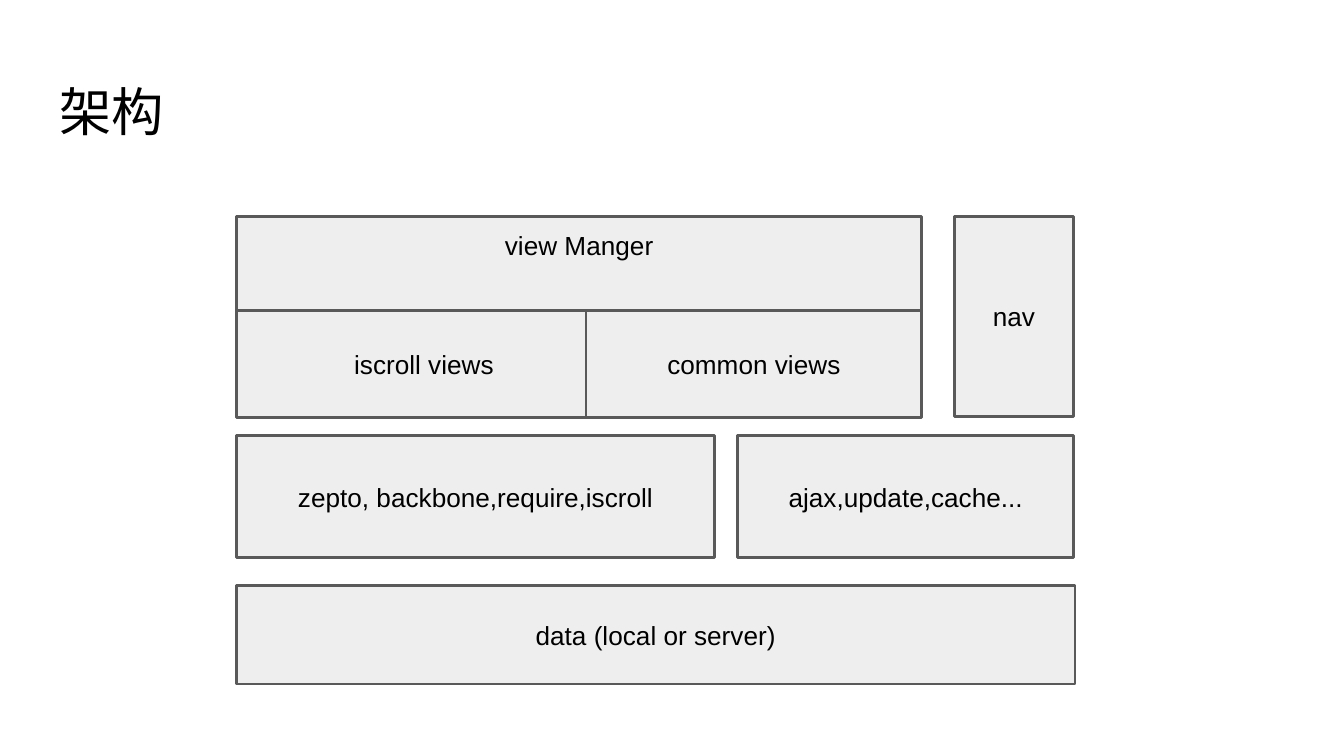
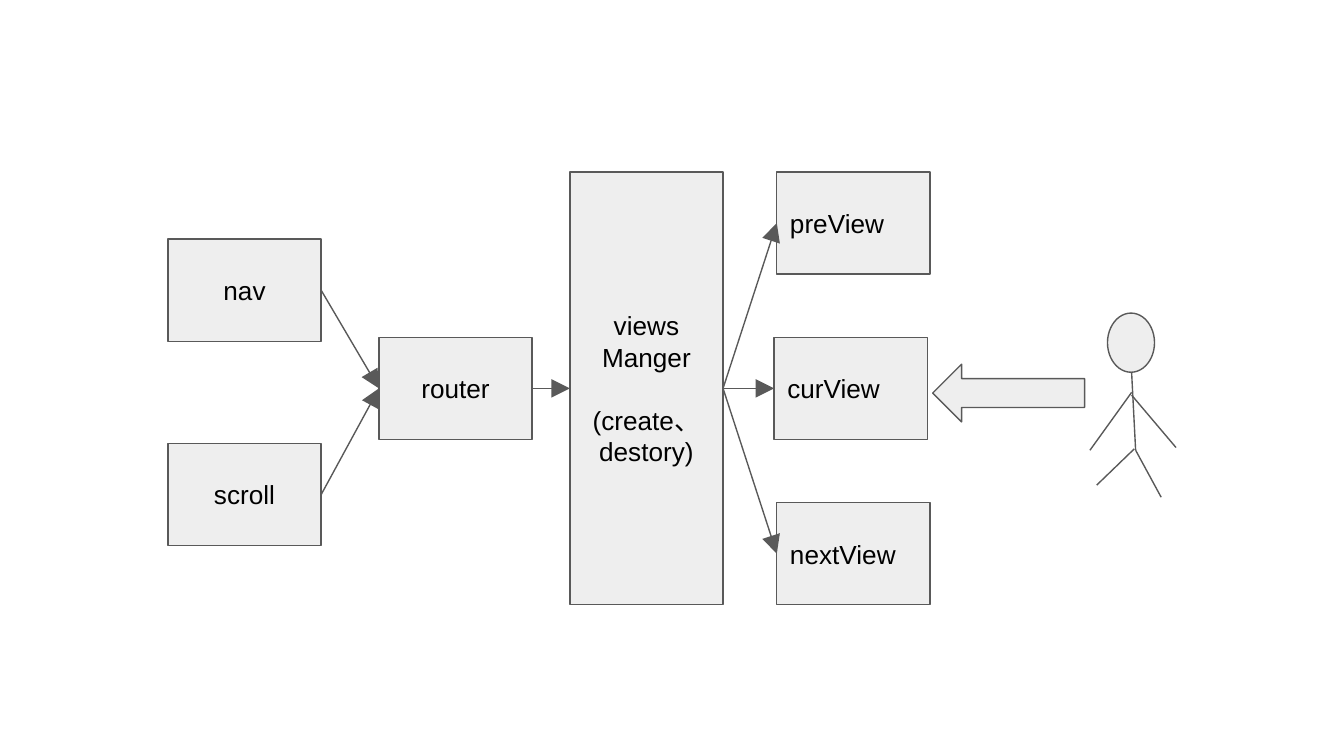
from lxml.etree import SubElement
from pptx import Presentation
from pptx.dml.color import RGBColor
from pptx.enum.shapes import MSO_CONNECTOR, MSO_SHAPE
from pptx.enum.text import MSO_ANCHOR, MSO_AUTO_SIZE, PP_ALIGN
from pptx.oxml.ns import qn
from pptx.util import Inches, Pt

SLIDE_W = 10
SLIDE_H = SLIDE_W * 9 / 16
FONT = "Arial"
BLACK = RGBColor(0x00, 0x00, 0x00)
LIGHT = RGBColor(0xEE, 0xEE, 0xEE)
GREY = RGBColor(0x59, 0x59, 0x59)
THIN, THICK = 0.75, 1.5
INSET = 0.1
TOP, MIDDLE = MSO_ANCHOR.TOP, MSO_ANCHOR.MIDDLE
LEFT, CENTER = PP_ALIGN.LEFT, PP_ALIGN.CENTER
TITLE = "架构"

# Layers of the architecture: text, (left, top, width, height), anchor
LAYERS = [
    ("zepto, backbone,require,iscroll", (1.76, 3.24, 3.56, 0.91), MIDDLE),
    ("view Manger", (1.76, 1.61, 5.1, 1.49), TOP),
    ("ajax,update,cache...", (5.49, 3.24, 2.5, 0.91), MIDDLE),
    ("iscroll views", (1.76, 2.31, 2.79, 0.8), MIDDLE),
    ("common views", (4.36, 2.31, 2.5, 0.8), MIDDLE),
    ("nav", (7.1, 1.61, 0.89, 1.49), MIDDLE),
    ("data (local or server)", (1.76, 4.36, 6.24, 0.73), MIDDLE),
]

# Flow: name, paragraphs, left, top, height, alignment
NODE_W, NODE_H = 1.14, 0.76
VIEW_TOP, VIEW_STEP = 1.28, 1.23
ROUTER_TOP = VIEW_TOP + VIEW_STEP
MANAGER_H = 2 * VIEW_STEP + NODE_H
NODES = [
    ("nav", ["nav"], 1.25, 1.78, NODE_H, CENTER),
    ("scroll", ["scroll"], 1.25, 3.3, NODE_H, CENTER),
    ("router", ["router"], 2.82, ROUTER_TOP, NODE_H, CENTER),
    ("manager", ["views Manger", "(create、destory)"], 4.24, VIEW_TOP, MANAGER_H, CENTER),
] + [
    (view, [view], left, VIEW_TOP + i * VIEW_STEP, NODE_H, LEFT)
    for i, (view, left) in enumerate([("preView", 5.78), ("curView", 5.76), ("nextView", 5.78)])
]
LINKS = [
    ("nav", "router"), ("scroll", "router"), ("router", "manager"),
    ("manager", "preView"), ("manager", "curView"), ("manager", "nextView"),
]
LEFT_SITE, RIGHT_SITE = 1, 3

# The user, drawn as a stick figure
HEAD = (8.24, 2.33, 0.35, 0.44)
LIMBS = [
    ((8.42, 2.77), (8.45, 3.35)),
    ((8.42, 2.92), (8.11, 3.35)),
    ((8.44, 3.34), (8.16, 3.61)),
    ((8.45, 3.35), (8.64, 3.7)),
    ((8.42, 2.94), (8.75, 3.33)),
]
USER_ARROW = (6.94, 2.71, 1.13, 0.43)


def set_frame(tf, anchor):
    """Give a text frame the shared insets, wrapping and anchor."""
    tf.word_wrap = True
    tf.auto_size = MSO_AUTO_SIZE.NONE
    tf.vertical_anchor = anchor
    tf.margin_left = tf.margin_right = tf.margin_top = tf.margin_bottom = Inches(INSET)


def set_paragraph(p, text, size, align):
    """Write one paragraph in the shared font."""
    p.text = text
    p.alignment = align
    p.font.name, p.font.size = FONT, Pt(size)
    p.font.color.rgb = BLACK


def add_title(s, text):
    """Place and format the title placeholder."""
    title = s.shapes.title
    title.left, title.top = Inches(0.34), Inches(0.49)
    title.width, title.height = Inches(9.32), Inches(0.63)
    set_frame(title.text_frame, TOP)
    set_paragraph(title.text_frame.paragraphs[0], text, 28, LEFT)


def add_figure(s, kind, box, weight=THIN):
    """Add a light shape with a grey outline."""
    sp = s.shapes.add_shape(kind, *map(Inches, box))
    sp.shadow.inherit = False
    sp.fill.solid()
    sp.fill.fore_color.rgb = LIGHT
    sp.line.color.rgb = GREY
    sp.line.width = Pt(weight)
    return sp


def add_box(s, texts, box, weight, anchor=MIDDLE, align=CENTER):
    """Add a labelled rectangle, one line of space between paragraphs."""
    sp = add_figure(s, MSO_SHAPE.RECTANGLE, box, weight)
    tf = sp.text_frame
    set_frame(tf, anchor)
    for i, text in enumerate(texts):
        p = tf.add_paragraph() if i else tf.paragraphs[0]
        set_paragraph(p, text, 14, align)
        if i:
            p.space_before = Pt(17)
    return sp


def add_line(s, start=(0, 0), end=(0, 0)):
    """Add a thin grey line without shadow."""
    line = s.shapes.add_connector(MSO_CONNECTOR.STRAIGHT, *map(Inches, start + end))
    line.line.color.rgb = GREY
    line.line.width = Pt(THIN)
    SubElement(line._element.spPr, qn("a:effectLst"))
    return line


def add_link(s, source, target):
    """Join two boxes with an arrow from right side to left side."""
    line = add_line(s)
    line.begin_connect(source, RIGHT_SITE)
    line.end_connect(target, LEFT_SITE)
    SubElement(line.line._get_or_add_ln(), qn("a:tailEnd"), type="triangle", w="lg", len="lg")


def build_architecture(prs):
    """Build the slide with the stacked layers."""
    s = prs.slides.add_slide(prs.slide_layouts[5])
    add_title(s, TITLE)
    for text, box, anchor in LAYERS:
        add_box(s, [text], box, THICK, anchor)


def build_flow(prs):
    """Build the slide with the routing flow and the user."""
    s = prs.slides.add_slide(prs.slide_layouts[6])
    nodes = {}
    for name, texts, left, top, height, align in NODES:
        nodes[name] = add_box(s, texts, (left, top, NODE_W, height), THIN, align=align)
    for source, target in LINKS:
        add_link(s, nodes[source], nodes[target])
    add_figure(s, MSO_SHAPE.OVAL, HEAD)
    for start, end in LIMBS:
        add_line(s, start, end)
    add_figure(s, MSO_SHAPE.LEFT_ARROW, USER_ARROW)


prs = Presentation()
prs.slide_width, prs.slide_height = Inches(SLIDE_W), Inches(SLIDE_H)
build_architecture(prs)
build_flow(prs)
prs.save("out.pptx")
